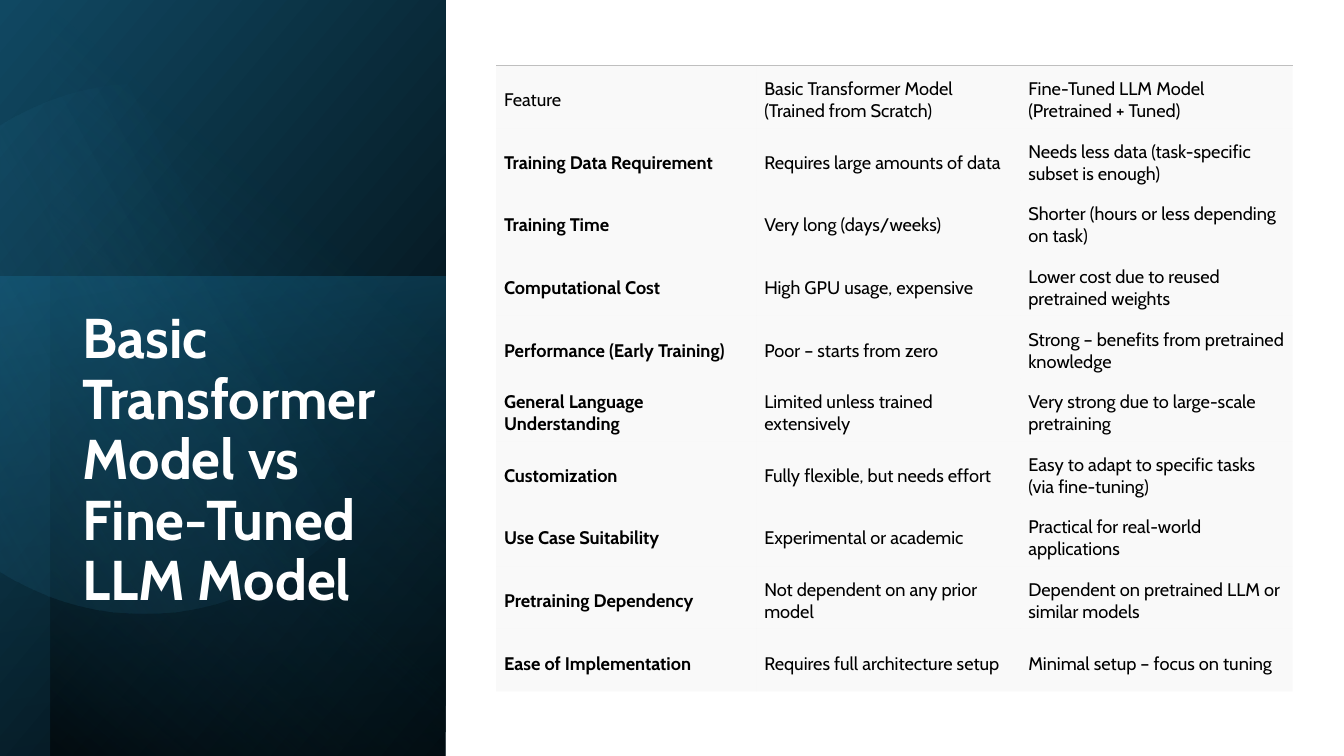
import math

from lxml import etree
from pptx import Presentation
from pptx.dml.color import RGBColor
from pptx.enum import shapes, text
from pptx.oxml.ns import qn
from pptx.util import Inches, Pt

FONT = "Cabin"
COLORS = {
    "black": "000000",
    "white": "FFFFFF",
    "navy": "104862",
    "teal": "156082",
    "deep": "0B3041",
    "sky": "46B1E1",
    "cell": "F2F2F2",
    "rule": "BFBFBF",
}
NO_STYLE = "{2D5ABB26-0587-4C30-8999-92F81FD0307C}"
COLUMN_WIDTHS = (2.58, 2.62, 2.7)
TABLE_HEIGHT = 6.21
COMPARISON = [
    ("Feature", "Basic Transformer Model (Trained from Scratch)",
     "Fine-Tuned LLM Model (Pretrained + Tuned)"),
    ("Training Data Requirement", "Requires large amounts of data",
     "Needs less data (task-specific subset is enough)"),
    ("Training Time", "Very long (days/weeks)",
     "Shorter (hours or less depending on task)"),
    ("Computational Cost", "High GPU usage, expensive",
     "Lower cost due to reused pretrained weights"),
    ("Performance (Early Training)", "Poor – starts from zero",
     "Strong – benefits from pretrained knowledge"),
    ("General Language Understanding", "Limited unless trained extensively",
     "Very strong due to large-scale pretraining"),
    ("Customization", "Fully flexible, but needs effort",
     "Easy to adapt to specific tasks (via fine-tuning)"),
    ("Use Case Suitability", "Experimental or academic",
     "Practical for real-world applications"),
    ("Pretraining Dependency", "Not dependent on any prior model",
     "Dependent on pretrained LLM or similar models"),
    ("Ease of Implementation", "Requires full architecture setup",
     "Minimal setup – focus on tuning"),
]


def rgb(name):
    return RGBColor.from_string(COLORS[name])


def set_opacity(color_element, percent):
    alpha = etree.SubElement(color_element, qn("a:alpha"))
    alpha.set("val", str(percent * 1000))


def fill_gradient(shape, stops, angle):
    shape.shadow.inherit = False
    shape.line.fill.background()
    shape.fill.gradient()
    shape.fill.gradient_angle = angle
    for stop, (position, color, _) in zip(shape.fill.gradient_stops, stops):
        stop.position = position / 100
        stop.color.rgb = rgb(color)
    tints = shape.element.spPr.findall(".//" + qn("a:gs") + "/" + qn("a:srgbClr"))
    for tint, (_, _, opacity) in zip(tints, stops):
        set_opacity(tint, opacity)


def add_panel(slide, box, rotation, stops, angle, flipped=False):
    panel = slide.shapes.add_shape(
        shapes.MSO_SHAPE.RECTANGLE, *(Inches(length) for length in box))
    panel.rotation = rotation
    if flipped:
        panel.element.spPr.find(qn("a:xfrm")).set("flipH", "1")
    fill_gradient(panel, stops, angle)


def add_cut_disc(slide, center, radius, chord_distance, rotation, stops, angle):
    half_chord = math.degrees(math.acos(chord_distance / radius))
    first = 180 - rotation + half_chord
    steps = 120
    sweep = (360 - 2 * half_chord) / steps
    bearings = [math.radians(first + sweep * step) for step in range(steps + 1)]
    rim = [(Inches(center[0] + radius * math.cos(bearing)),
            Inches(center[1] + radius * math.sin(bearing))) for bearing in bearings]
    outline = slide.shapes.build_freeform(*rim[0])
    outline.add_line_segments(rim[1:], close=True)
    disc = outline.convert_to_shape()
    disc.rotation = rotation
    fill_gradient(disc, stops, angle)


def format_runs(paragraph, size, color, bold):
    for run in paragraph.runs:
        run.font.name = FONT
        run.font.size = Pt(size)
        run.font.bold = bold
        run.font.color.rgb = rgb(color)


def add_title(slide, wording):
    title = slide.shapes.title
    title.left, title.top = Inches(0.72), Inches(3.03)
    title.width, title.height = Inches(3.15), Inches(3.36)
    frame = title.text_frame
    frame.text = wording
    frame.word_wrap = True
    frame.auto_size = text.MSO_AUTO_SIZE.NONE
    frame.vertical_anchor = text.MSO_ANCHOR.TOP
    heading = frame.paragraphs[0]
    heading.alignment = text.PP_ALIGN.LEFT
    heading.line_spacing = 0.9
    heading.space_before = Pt(0)
    heading.space_after = Pt(6)
    format_runs(heading, 40, "white", True)
    title.element.getparent().append(title.element)


def add_top_rule(cell):
    rule = etree.Element(qn("a:lnT"), w=str(Pt(1)))
    paint = etree.SubElement(rule, qn("a:solidFill"))
    etree.SubElement(paint, qn("a:srgbClr"), val=COLORS["rule"])
    cell._tc.get_or_add_tcPr().insert(0, rule)


def fill_cell(cell, wording, bold):
    cell.text = wording
    cell.vertical_anchor = text.MSO_ANCHOR.MIDDLE
    cell.margin_left = cell.margin_right = Inches(0.08)
    cell.margin_top, cell.margin_bottom = Inches(0.11), Inches(0.04)
    cell.fill.solid()
    cell.fill.fore_color.rgb = rgb("cell")
    set_opacity(cell._tc.tcPr.find(".//" + qn("a:srgbClr")), 45)
    format_runs(cell.text_frame.paragraphs[0], 13, "black", bold)


def add_comparison(slide):
    frame = slide.shapes.add_table(
        len(COMPARISON), len(COLUMN_WIDTHS), Inches(4.92), Inches(0.65),
        Inches(sum(COLUMN_WIDTHS)), Inches(TABLE_HEIGHT))
    comparison = frame.table
    comparison.first_row = comparison.horz_banding = False
    comparison._tbl.tblPr.find(qn("a:tableStyleId")).text = NO_STYLE
    for column, width in zip(comparison.columns, COLUMN_WIDTHS):
        column.width = Inches(width)
    for row, entries in enumerate(COMPARISON):
        comparison.rows[row].height = Inches(TABLE_HEIGHT / len(COMPARISON))
        for column, wording in enumerate(entries):
            cell = comparison.cell(row, column)
            fill_cell(cell, wording, bold=row > 0 and column == 0)
            if row == 0:
                add_top_rule(cell)


def main():
    deck = Presentation()
    deck.slide_width, deck.slide_height = Inches(13.33), Inches(7.5)
    slide = deck.slides.add_slide(deck.slide_layouts[5])
    add_panel(slide, (-1.55, 1.55, 7.52, 4.42), 90,
              [(0, "black", 100), (100, "navy", 100)], 310, flipped=True)
    add_panel(slide, (-0.17, 2.91, 4.76, 4.42), 270,
              [(0, "teal", 50), (100, "deep", 0)], 190)
    add_panel(slide, (-1.29, 1.79, 7.5, 3.92), 270,
              [(0, "black", 59), (69, "teal", 0)], 220, flipped=True)
    add_cut_disc(slide, (1.81, 3.93), 2.63, 1.43, 101.6,
                 [(39, "sky", 0), (100, "navy", 26)], 310)
    add_title(slide, "Basic Transformer Model vs Fine-Tuned LLM Model")
    add_comparison(slide)
    deck.save("out.pptx")


if __name__ == "__main__":
    main()
